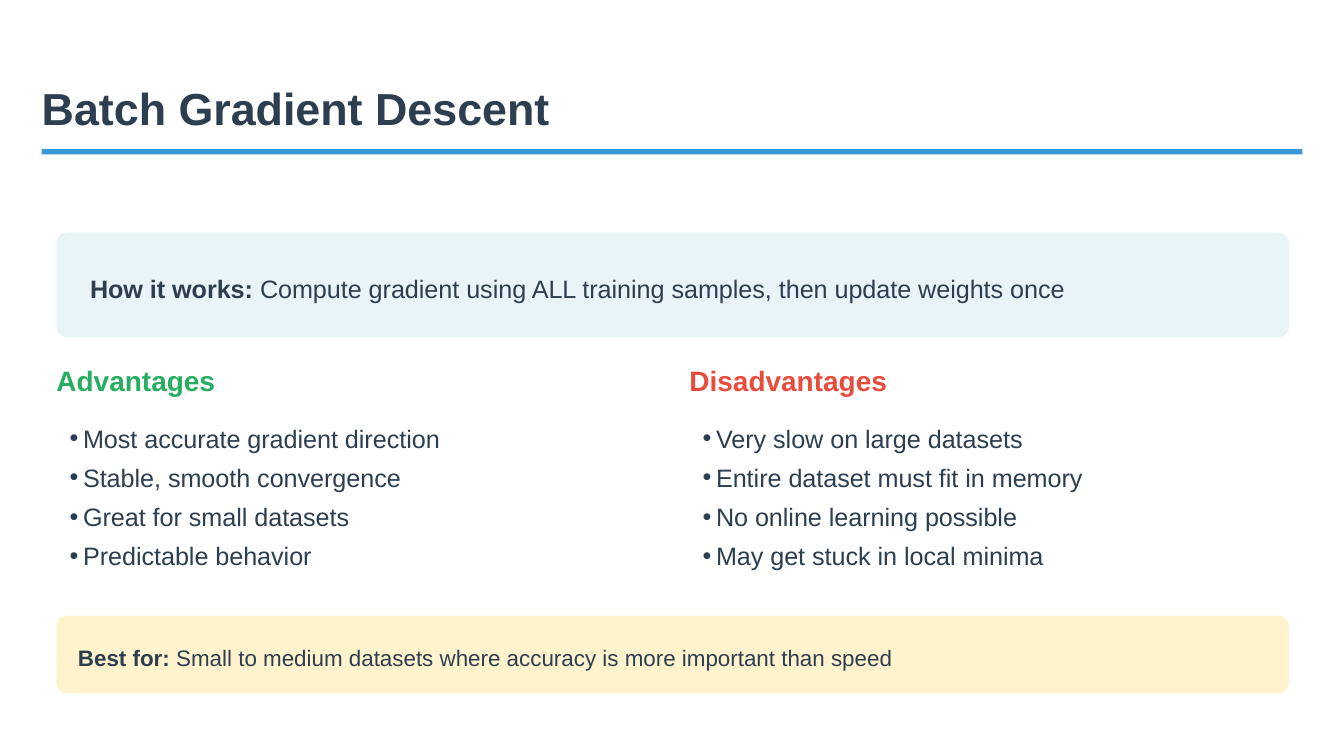
from lxml.etree import SubElement
from pptx import Presentation
from pptx.dml.color import RGBColor
from pptx.enum.shapes import MSO_SHAPE
from pptx.enum.text import MSO_ANCHOR, PP_ALIGN
from pptx.oxml.ns import qn
from pptx.util import Inches, Pt

INK = "2C3E50"
LEFT, WIDTH = 0.42, 9.17


def paint(format, color):
    """Give a fill or font a solid colour from a hex string."""
    if hasattr(format, "solid"):
        format.solid()
        format.fore_color.rgb = RGBColor.from_string(color)
    else:
        format.color.rgb = RGBColor.from_string(color)


def style(para, size, line, color=INK, bold=None):
    """Set the font and exact line spacing of a paragraph."""
    para.alignment = PP_ALIGN.LEFT
    para.line_spacing = Pt(line)
    para.font.name = "Arial"
    para.font.size = Pt(size)
    para.font.bold = bold
    paint(para.font, color)


def frame(shape, inset=0):
    """Prepare a wrapped, top-anchored text frame."""
    text = shape.text_frame
    text.word_wrap = True
    text.vertical_anchor = MSO_ANCHOR.TOP
    text.margin_left = Inches(inset)
    text.margin_top = text.margin_right = text.margin_bottom = 0
    return text


def add_text(slide, x, y, w, h, inset=0):
    """Add a text box and return its frame."""
    box = slide.shapes.add_textbox(Inches(x), Inches(y), Inches(w), Inches(h))
    return frame(box, inset)


def add_panel(slide, x, y, w, h, color, radius=0):
    """Add a plain filled panel, rounded when a radius is given."""
    kind = MSO_SHAPE.ROUNDED_RECTANGLE if radius else MSO_SHAPE.RECTANGLE
    panel = slide.shapes.add_shape(kind, Inches(x), Inches(y), Inches(w), Inches(h))
    if radius:
        panel.adjustments[0] = radius / h
    panel.shadow.inherit = False
    panel.line.fill.background()
    paint(panel.fill, color)


def add_header(slide, x, y, w, title):
    """Place the title and the rule below it."""
    head = slide.shapes.title
    head.left, head.top = Inches(x), Inches(y)
    head.width, head.height = Inches(4.79), Inches(0.33)
    text = frame(head)
    text.text = title
    style(text.paragraphs[0], 24, 24, bold=True)
    add_panel(slide, x, y + 0.44, w, 0.04, "3498DB")


def add_note(slide, x, y, w, h, color, label, body, size, pad):
    """Place a rounded card with a bold label and its sentence."""
    add_panel(slide, x, y, w, h, color, 0.08)
    line = size * 1.5
    high = line / 72
    text = add_text(slide, x + pad, y + (h - high) / 2, w - pad, high)
    para = text.paragraphs[0]
    style(para, size, line)
    para.add_run().text = label
    para.add_run().text = " " + body
    para.runs[0].font.bold = True


def add_list(slide, x, y, w, title, color, items):
    """Place a coloured heading above a bulleted list."""
    head = add_text(slide, x, y, 2.28, 0.23).paragraphs[0]
    head.text = title
    style(head, 15, 16.7, color, True)
    text = add_text(slide, x, y + 0.36, w, 1.29, 0.1)
    for i, item in enumerate(items):
        para = text.add_paragraph() if i else text.paragraphs[0]
        para.text = item
        props = para._p.get_or_add_pPr()
        props.set("marL", str(Inches(0.1)))
        props.set("indent", str(-Inches(0.1)))
        SubElement(props, qn("a:buFont")).set("typeface", "Arial")
        SubElement(props, qn("a:buChar")).set("char", "•")
        style(para, 13.5, 21)


def main():
    """Build and save the slide."""
    deck = Presentation()
    deck.slide_width = Inches(10)
    deck.slide_height = deck.slide_width * 9 // 16
    slide = deck.slides.add_slide(deck.slide_layouts[5])
    paint(slide.background.fill, "FFFFFF")
    add_header(slide, 0.31, 0.67, 9.38, "Batch Gradient Descent")
    add_note(slide, LEFT, 1.73, WIDTH, 0.78, "E8F4F8", "How it works:",
             "Compute gradient using ALL training samples, then update weights once",
             13.5, 0.25)
    lists = [
        ("Advantages", "27AE60",
         ["Most accurate gradient direction", "Stable, smooth convergence",
          "Great for small datasets", "Predictable behavior"]),
        ("Disadvantages", "E74C3C",
         ["Very slow on large datasets", "Entire dataset must fit in memory",
          "No online learning possible", "May get stuck in local minima"]),
    ]
    gap = 0.25
    wide = (WIDTH - gap) / 2
    for i, (title, color, items) in enumerate(lists):
        add_list(slide, LEFT + i * (wide + gap), 2.72, wide, title, color, items)
    add_note(slide, LEFT, 4.58, WIDTH, 0.58, "FFF3CD", "Best for:",
             "Small to medium datasets where accuracy is more important than speed",
             12, 0.16)
    deck.save("out.pptx")


if __name__ == "__main__":
    main()
